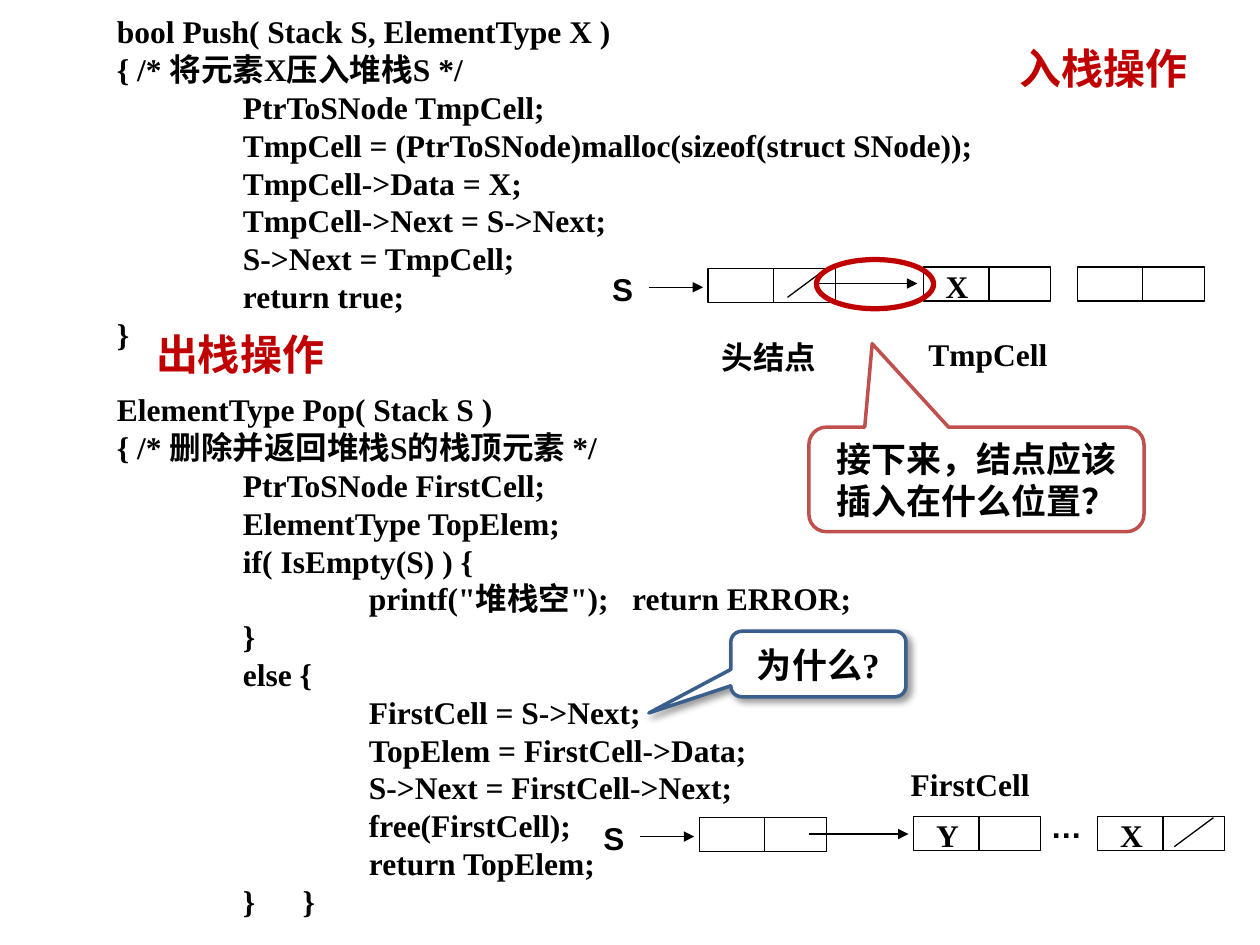
from dataclasses import dataclass

from lxml.etree import SubElement
from pptx import Presentation
from pptx.dml.color import RGBColor
from pptx.enum.shapes import MSO_CONNECTOR, MSO_SHAPE
from pptx.enum.text import MSO_ANCHOR, MSO_AUTO_SIZE, PP_ALIGN
from pptx.oxml.ns import qn
from pptx.util import Inches, Pt

BLACK, WHITE, RED = "000000", "FFFFFF", "C00000"
SERIF, SANS, CHINESE = "Times New Roman", "Arial", "Noto Sans CJK SC"
CODE_LINE = Pt(21.6)
CODE_TABS = (1, 2)
DATA_WIDTH, NEXT_WIDTH, NODE_HEIGHT = 0.52, 0.49, 0.27

PUSH_CODE = """bool Push( Stack S, ElementType X )
{ /* 将元素X压入堆栈S */
\tPtrToSNode TmpCell;
\tTmpCell = (PtrToSNode)malloc(sizeof(struct SNode));
\tTmpCell->Data = X;
\tTmpCell->Next = S->Next;
\tS->Next = TmpCell;
\treturn true;
}"""

POP_CODE = """ElementType Pop( Stack S )
{ /* 删除并返回堆栈S的栈顶元素 */
\tPtrToSNode FirstCell;
\tElementType TopElem;
\tif( IsEmpty(S) ) {
\t\tprintf("堆栈空");   return ERROR;
\t}
\telse {
\t\tFirstCell = S->Next;
\t\tTopElem = FirstCell->Data;
\t\tS->Next = FirstCell->Next;
\t\tfree(FirstCell);
\t\treturn TopElem;
\t}      }"""


@dataclass
class Label:
    text: str
    left: float
    top: float
    width: float
    height: float = 0.4
    size: int = 18
    font: str = SERIF
    color: str = BLACK
    centered: bool = False


@dataclass
class Stroke:
    start: tuple[float, float]
    end: tuple[float, float]
    arrow: bool = True


@dataclass
class Callout:
    text: str
    left: float
    top: float
    width: float
    height: float
    tip: tuple[float, float]
    color: str
    shadow: bool = False


def rgb(value: str) -> RGBColor:
    return RGBColor.from_string(value)


def write(frame, text: str, *, size=18, font=SERIF, color=BLACK, centered=False):
    """Fill a text frame, one paragraph for each line of the text."""
    for index, line in enumerate(text.split("\n")):
        para = frame.add_paragraph() if index else frame.paragraphs[0]
        para.alignment = PP_ALIGN.CENTER if centered else PP_ALIGN.LEFT
        span = para.add_run()
        span.text = line
        span.font.size = Pt(size)
        span.font.bold = True
        span.font.name = font
        span.font.color.rgb = rgb(color)
        east_asian = SubElement(span.font._element, qn("a:ea"))
        east_asian.set("typeface", CHINESE)


def add_label(page, label: Label):
    box = page.shapes.add_textbox(Inches(label.left), Inches(label.top),
                                  Inches(label.width), Inches(label.height))
    box.text_frame.word_wrap = False
    box.text_frame.auto_size = MSO_AUTO_SIZE.SHAPE_TO_FIT_TEXT
    write(box.text_frame, label.text, size=label.size, font=label.font,
          color=label.color, centered=label.centered)


def add_outline(page, kind, left: float, top: float, width: float, height: float,
                *, line=BLACK, weight=0.75, fill: str | None = WHITE):
    shape = page.shapes.add_shape(kind, Inches(left), Inches(top),
                                  Inches(width), Inches(height))
    shape.shadow.inherit = False
    if fill:
        shape.fill.solid()
        shape.fill.fore_color.rgb = rgb(fill)
    else:
        shape.fill.background()
    shape.line.color.rgb = rgb(line)
    shape.line.width = Pt(weight)
    return shape


def add_node(page, left: float, top: float):
    """Draw a list node: a data cell followed by a next cell."""
    for offset, width in ((0, DATA_WIDTH), (DATA_WIDTH, NEXT_WIDTH)):
        add_outline(page, MSO_SHAPE.RECTANGLE, left + offset, top, width, NODE_HEIGHT)


def add_stroke(page, stroke: Stroke):
    line = page.shapes.add_connector(MSO_CONNECTOR.STRAIGHT,
                                     *map(Inches, stroke.start + stroke.end))
    line.line.color.rgb = rgb(BLACK)
    line.line.width = Pt(0.75)
    if stroke.arrow:
        SubElement(line.line._get_or_add_ln(), qn("a:tailEnd"), type="triangle")
    SubElement(line._element.spPr, qn("a:effectLst"))


def add_callout(page, callout: Callout):
    shape = add_outline(page, MSO_SHAPE.ROUNDED_RECTANGULAR_CALLOUT, callout.left,
                        callout.top, callout.width, callout.height,
                        line=callout.color, weight=2)
    for index, value in enumerate((*callout.tip, 0.167)):
        shape.adjustments[index] = value
    shape.text_frame.word_wrap = True
    shape.text_frame.vertical_anchor = MSO_ANCHOR.MIDDLE
    write(shape.text_frame, callout.text, size=20, centered=True)
    if callout.shadow:
        effects = shape._element.spPr.find(qn("a:effectLst"))
        shadow = SubElement(effects, qn("a:outerShdw"), blurRad=str(Pt(4)),
                            dist=str(Pt(3)), dir="2700000", algn="tl", rotWithShape="0")
        tint = SubElement(shadow, qn("a:srgbClr"), val=BLACK)
        SubElement(tint, qn("a:alpha"), val="40000")


def add_code(page):
    box = page.shapes.add_textbox(Inches(0.83), Inches(0.05), Inches(8.58), Inches(7.37))
    frame = box.text_frame
    frame.word_wrap = True
    write(frame, PUSH_CODE + "\n" + POP_CODE)
    for para in frame.paragraphs:
        para.line_spacing = CODE_LINE
        tabs = SubElement(para._p.get_or_add_pPr(), qn("a:tabLst"))
        for stop in CODE_TABS:
            SubElement(tabs, qn("a:tab"), pos=str(Inches(stop)), algn="l")
    # One line of space separates the two functions
    frame.paragraphs[len(PUSH_CODE.split("\n"))].space_before = CODE_LINE


NODES = [(5.62, 2.13), (7.33, 2.12), (8.55, 2.12),   # push
         (5.55, 6.49), (7.25, 6.48), (8.71, 6.48)]   # pop

STROKES = [
    Stroke((5.15, 2.28), (5.58, 2.28)),
    Stroke((6.56, 2.13), (6.25, 2.36), arrow=False),
    Stroke((6.5, 2.25), (7.28, 2.25)),
    Stroke((5.08, 6.64), (5.51, 6.64)),
    Stroke((6.42, 6.62), (7.21, 6.62)),
    Stroke((9.63, 6.49), (9.32, 6.72), arrow=False),
]

LABELS = [
    Label("入栈操作", 7.99, 0.29, 1.56, 0.51, size=24, font=CHINESE, color=RED),
    Label("出栈操作", 1.14, 2.56, 1.56, 0.51, size=24, font=CHINESE, color=RED),
    Label("S", 4.76, 2.09, 0.34, font=SANS),
    Label("X", 7.4, 2.07, 0.39, centered=True),
    Label("头结点", 5.63, 2.63, 0.96),
    Label("TmpCell", 7.27, 2.61, 1.15),
    Label("S", 4.69, 6.45, 0.34, font=SANS),
    Label("Y", 7.33, 6.43, 0.38, centered=True),
    Label("X", 8.79, 6.43, 0.38, centered=True),
    Label("…", 8.24, 6.36, 0.78, font=SANS),
    Label("FirstCell", 7.13, 6.02, 1.16),
]

CALLOUTS = [
    Callout("为什么?", 5.8, 5.01, 1.39, 0.52, (-0.968, 0.748), "3A5F8C", shadow=True),
    Callout("接下来，结点应该插入在什么位置？", 6.42, 3.39, 2.66, 0.83,
            (-0.311, -1.298), "C0504D"),
]


def main():
    deck = Presentation()
    deck.slide_width, deck.slide_height = Inches(10), Inches(7.5)
    page = deck.slides.add_slide(deck.slide_layouts[6])
    add_code(page)
    # Linked lists
    for left, top in NODES:
        add_node(page, left, top)
    for stroke in STROKES:
        add_stroke(page, stroke)
    # Headings, names and questions
    for label in LABELS:
        add_label(page, label)
    for callout in CALLOUTS:
        add_callout(page, callout)
    # Ring around the link that changes
    add_outline(page, MSO_SHAPE.OVAL, 6.48, 2.06, 0.93, 0.39, line=RED, weight=3, fill=None)
    deck.save("out.pptx")


if __name__ == "__main__":
    main()
